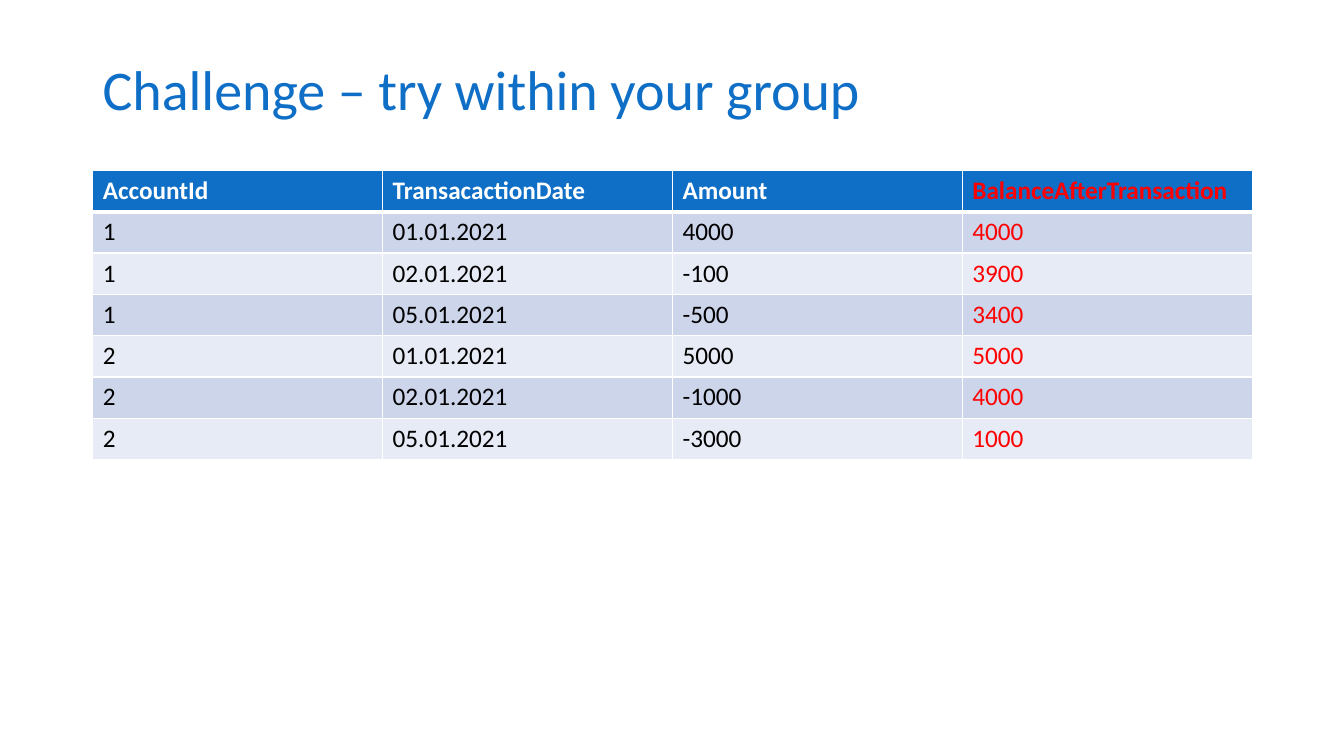
"""Build a slide with a table of account transactions and running balances."""
from dataclasses import dataclass

from lxml.etree import SubElement
from pptx import Presentation
from pptx.dml.color import RGBColor
from pptx.enum.text import MSO_ANCHOR
from pptx.oxml.ns import qn
from pptx.util import Inches, Pt

TITLE = "Challenge – try within your group"
HEADER = ("AccountId", "TransacactionDate", "Amount", "BalanceAfterTransaction")
TRANSACTIONS = [
    ("1", "01.01.2021", "4000", "4000"),
    ("1", "02.01.2021", "-100", "3900"),
    ("1", "05.01.2021", "-500", "3400"),
    ("2", "01.01.2021", "5000", "5000"),
    ("2", "02.01.2021", "-1000", "4000"),
    ("2", "05.01.2021", "-3000", "1000"),
]


@dataclass(frozen=True)
class Theme:
    font: str = "Calibri"
    title_size: int = 40
    table_size: int = 18
    accent: str = "0F6FC6"
    white: str = "FFFFFF"
    text: str = "000000"
    answer: str = "FF0000"
    bands: tuple = ("CCD5EA", "E7EBF5")
    thin_line: int = 1
    thick_line: int = 3


THEME = Theme()
SLIDE_WIDTH, SLIDE_HEIGHT = 13.33, 7.5
MARGIN = 0.92
CONTENT_WIDTH = 11.5
TITLE_TOP, TITLE_HEIGHT = 0.4, 1.04
TABLE_TOP, ROW_HEIGHT = 1.69, 0.41


def write(text_frame, text, size, color, bold=False, line_spacing=None):
    paragraph = text_frame.paragraphs[0]
    paragraph.line_spacing = line_spacing
    run = paragraph.add_run()
    run.text = text
    run.font.name = THEME.font
    run.font.size = Pt(size)
    run.font.bold = bold
    run.font.color.rgb = RGBColor.from_string(color)


def add_border(cell, side, width):
    properties = cell._tc.get_or_add_tcPr()
    line = SubElement(properties, qn(f"a:ln{side}"), w=str(Pt(width)))
    fill = SubElement(line, qn("a:solidFill"))
    SubElement(fill, qn("a:srgbClr"), val=THEME.white)


def format_cell(cell, text, row, column):
    is_header = row == 0
    is_answer = column == len(HEADER) - 1
    plain_color = THEME.white if is_header else THEME.text
    background = THEME.accent if is_header else THEME.bands[(row - 1) % 2]
    write(cell.text_frame, text, THEME.table_size,
          THEME.answer if is_answer else plain_color, bold=is_header)
    thick_side = {0: "B", 1: "T"}.get(row)
    for side in "LRTB":
        add_border(cell, side, THEME.thick_line if side == thick_side else THEME.thin_line)
    cell.fill.solid()
    cell.fill.fore_color.rgb = RGBColor.from_string(background)


def add_title(slide):
    box = slide.shapes.add_textbox(
        Inches(MARGIN), Inches(TITLE_TOP), Inches(CONTENT_WIDTH), Inches(TITLE_HEIGHT))
    box.text_frame.word_wrap = True
    box.text_frame.vertical_anchor = MSO_ANCHOR.MIDDLE
    write(box.text_frame, TITLE, THEME.title_size, THEME.accent, line_spacing=0.9)


def add_transactions(slide):
    rows = [HEADER, *TRANSACTIONS]
    table = slide.shapes.add_table(
        len(rows), len(HEADER), Inches(MARGIN), Inches(TABLE_TOP),
        Inches(CONTENT_WIDTH), Inches(ROW_HEIGHT * len(rows))).table
    for row, values in enumerate(rows):
        for column, text in enumerate(values):
            format_cell(table.cell(row, column), text, row, column)


def main():
    presentation = Presentation()
    presentation.slide_width = Inches(SLIDE_WIDTH)
    presentation.slide_height = Inches(SLIDE_HEIGHT)
    slide = presentation.slides.add_slide(presentation.slide_layouts[6])
    add_title(slide)
    add_transactions(slide)
    presentation.save("out.pptx")


if __name__ == "__main__":
    main()
